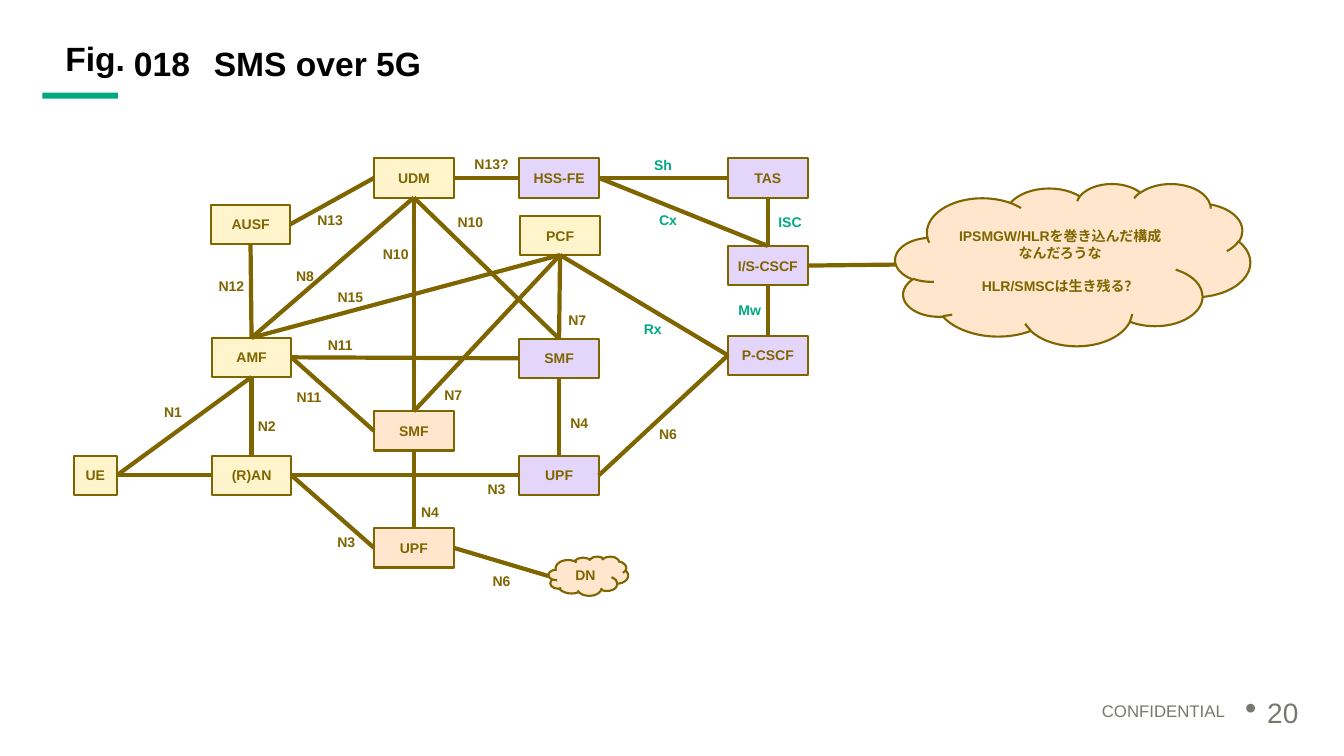
from lxml import etree
from pptx import Presentation
from pptx.dml.color import RGBColor
from pptx.enum.shapes import MSO_CONNECTOR, MSO_SHAPE
from pptx.enum.text import MSO_ANCHOR, MSO_AUTO_SIZE, PP_ALIGN
from pptx.oxml.ns import qn
from pptx.util import Pt

PX = 9144
LEFT, CENTER, RIGHT = PP_ALIGN.LEFT, PP_ALIGN.CENTER, PP_ALIGN.RIGHT
ANCHOR_TOP, ANCHOR_MIDDLE = MSO_ANCHOR.TOP, MSO_ANCHOR.MIDDLE
RECTANGLE, CLOUD = MSO_SHAPE.RECTANGLE, MSO_SHAPE.CLOUD
STRAIGHT = MSO_CONNECTOR.STRAIGHT
FIXED_SIZE = MSO_AUTO_SIZE.NONE

FONT = "Arial"
BLACK, GRAY, GREEN, BROWN = "000000", "787871", "01A982", "7F6500"
YELLOW, PURPLE, ORANGE = "FFF4CC", "E4D6FB", "FFE6CC"
NODE_W, NODE_H = 79, 39
TOP, WEST, BOTTOM, EAST = range(4)

NODES = {
    "ue": ("UE", 0, 309, YELLOW, 43),
    "ran": ("(R)AN", 137, 309, YELLOW),
    "amf": ("AMF", 137, 192, YELLOW),
    "ausf": ("AUSF", 136, 60, YELLOW),
    "udm": ("UDM", 298, 14, YELLOW),
    "pcf": ("PCF", 443, 71, YELLOW),
    "hss": ("HSS-FE", 442, 14, PURPLE),
    "smf_ims": ("SMF", 442, 193, PURPLE),
    "upf_ims": ("UPF", 442, 309, PURPLE),
    "smf_data": ("SMF", 298, 265, ORANGE),
    "upf_data": ("UPF", 298, 381, ORANGE),
    "tas": ("TAS", 649, 14, PURPLE),
    "is_cscf": ("I/S-CSCF", 649, 101, PURPLE),
    "p_cscf": ("P-CSCF", 649, 190, PURPLE),
    "dn": ("DN", 471, 409, ORANGE, NODE_W, NODE_H, CLOUD),
    "note": ("IPSMGW/HLRを巻き込んだ構成\nなんだろうな\nHLR/SMSCは生き残る？",
             815, 39, ORANGE, 352, 161, CLOUD),
}

LINKS = [
    ("ue", EAST, "ran", WEST),
    ("ue", EAST, "amf", BOTTOM, "N1", 59, 246),
    ("amf", BOTTOM, "ran", TOP, "N2", 152, 260),
    ("ran", EAST, "upf_ims", WEST, "N3", 380, 323),
    ("ran", EAST, "upf_data", WEST, "N3", 231, 375),
    ("smf_ims", BOTTOM, "upf_ims", TOP, "N4", 462, 257),
    ("smf_data", BOTTOM, "upf_data", TOP, "N4", 314, 345),
    ("upf_ims", EAST, "p_cscf", WEST, "N6", 550, 268),
    ("upf_data", EAST, "dn", WEST, "N6", 385, 414),
    ("pcf", BOTTOM, "smf_ims", TOP, "N7", 460, 155),
    ("pcf", BOTTOM, "smf_data", TOP, "N7", 337, 229),
    ("amf", TOP, "udm", BOTTOM, "N8", 190, 111),
    ("udm", BOTTOM, "smf_ims", TOP, "N10", 354, 58),
    ("udm", BOTTOM, "smf_data", TOP, "N10", 280, 89),
    ("amf", EAST, "smf_ims", WEST, "N11", 225, 180),
    ("amf", EAST, "smf_data", WEST, "N11", 194, 231),
    ("amf", TOP, "ausf", BOTTOM, "N12", 117, 121),
    ("ausf", EAST, "udm", WEST, "N13", 215, 56),
    ("hss", WEST, "udm", EAST, "N13?", 375, 0),
    ("amf", TOP, "pcf", BOTTOM, "N15", 235, 132),
    ("pcf", BOTTOM, "p_cscf", WEST, "Rx", 535, 164, GREEN),
    ("tas", WEST, "hss", EAST, "Sh", 545, 1, GREEN),
    ("hss", EAST, "is_cscf", TOP, "Cx", 550, 56, GREEN),
    ("tas", BOTTOM, "is_cscf", TOP, "ISC", 671, 58, GREEN),
    ("is_cscf", BOTTOM, "p_cscf", TOP, "Mw", 631, 145, GREEN),
    ("note", WEST, "is_cscf", EAST),
]


def color(value):
    return RGBColor.from_string(value)


def px(*lengths):
    return [length * PX for length in lengths]


def write(shape, text, size=10, ink=BROWN, bold=True, align=CENTER,
          anchor=ANCHOR_MIDDLE, spacing=1.0, inset=None, bullet=False, last_gap=0):
    frame = shape.text_frame
    frame.word_wrap = True
    frame.auto_size = FIXED_SIZE
    frame.vertical_anchor = anchor
    if inset is not None:
        frame.margin_left = frame.margin_right = inset * PX
        frame.margin_top = frame.margin_bottom = inset * PX
    frame.text = text
    for para in frame.paragraphs:
        para.alignment = align
        para.line_spacing = spacing
        if bullet:
            properties = para._p.get_or_add_pPr()
            properties.set("marL", str(22 * PX))
            properties.set("indent", str(-22 * PX))
            etree.SubElement(properties, qn("a:buSzPct")).set("val", "120000")
            etree.SubElement(properties, qn("a:buChar")).set("char", "•")
        for span in para.runs:
            span.font.name = FONT
            span.font.size = Pt(size)
            span.font.bold = bold
            span.font.color.rgb = color(ink)
    if last_gap:
        frame.paragraphs[-1].space_before = Pt(last_gap)


def add_text(page, left, top, width, height, text, **style):
    box = page.shapes.add_textbox(*px(left, top, width, height))
    write(box, text, **style)


def add_block(page, kind, left, top, width, height, fill, outline=None):
    shape = page.shapes.add_shape(kind, *px(left, top, width, height))
    shape.shadow.inherit = False
    shape.fill.solid()
    shape.fill.fore_color.rgb = color(fill)
    if outline:
        shape.line.color.rgb = color(outline)
        shape.line.width = Pt(1.5)
    else:
        shape.line.fill.background()
    return shape


def side_point(shape, side):
    across, down = [(1, 0), (0, 1), (1, 2), (2, 1)][side]
    return shape.left + shape.width * across // 2, shape.top + shape.height * down // 2


def add_link(page, start, start_side, end, end_side):
    line = page.shapes.add_connector(
        STRAIGHT, *side_point(start, start_side), *side_point(end, end_side))
    if start.auto_shape_type == RECTANGLE:
        line.begin_connect(start, start_side)
    if end.auto_shape_type == RECTANGLE:
        line.end_connect(end, end_side)
    line.line.color.rgb = color(BROWN)
    line.line.width = Pt(3)
    etree.SubElement(line._element.spPr, qn("a:effectLst"))


def draw_header(page, left, top, width, height):
    heading = dict(size=24, ink=BLACK, anchor=ANCHOR_TOP, spacing=0.9)
    add_block(page, RECTANGLE, left, top + height - 6, 75, 6, GREEN)
    add_text(page, left + 3, top, 79, 47, "Fig.", align=RIGHT, inset=0, **heading)
    add_text(page, left + 81, top, 79, 47, "018", align=LEFT, **heading)
    title = page.shapes.title
    title.left, title.top, title.width, title.height = px(left + 160, top, width - 160, 47)
    write(title, "SMS over 5G", align=LEFT, **heading)


def draw_node(page, left, top, text, x, y, fill, width=NODE_W, height=NODE_H, kind=RECTANGLE):
    shape = add_block(page, kind, left + x, top + y, width, height, fill, BROWN)
    write(shape, text, last_gap=12 if "\n" in text else 0)
    return shape


def draw_network(page, left, top):
    nodes = {name: draw_node(page, left, top, *node) for name, node in NODES.items()}
    for start, start_side, end, end_side, *label in LINKS:
        add_link(page, nodes[start], start_side, nodes[end], end_side)
        if label:
            text, x, y, *ink = label
            add_text(page, left + x, top + y, NODE_W, NODE_H, text,
                     ink=ink[0] if ink else BROWN)


def draw_footer(page, left, top, width, height):
    footer = dict(ink=GRAY, bold=False, spacing=0.9)
    add_text(page, left, top + 4, width - 75, 24, "CONFIDENTIAL",
             size=12, align=RIGHT, anchor=ANCHOR_TOP, **footer)
    add_text(page, left + width - 75, top, 75, height, "20",
             size=20, align=LEFT, bullet=True, **footer)


def main():
    deck = Presentation()
    deck.slide_width, deck.slide_height = px(1333, 750)
    page = deck.slides.add_slide(deck.slide_layouts[5])
    draw_header(page, 42, 42, 1250, 56)
    draw_network(page, 73, 143)
    draw_footer(page, 775, 689, 525, 40)
    deck.save("out.pptx")


if __name__ == "__main__":
    main()
